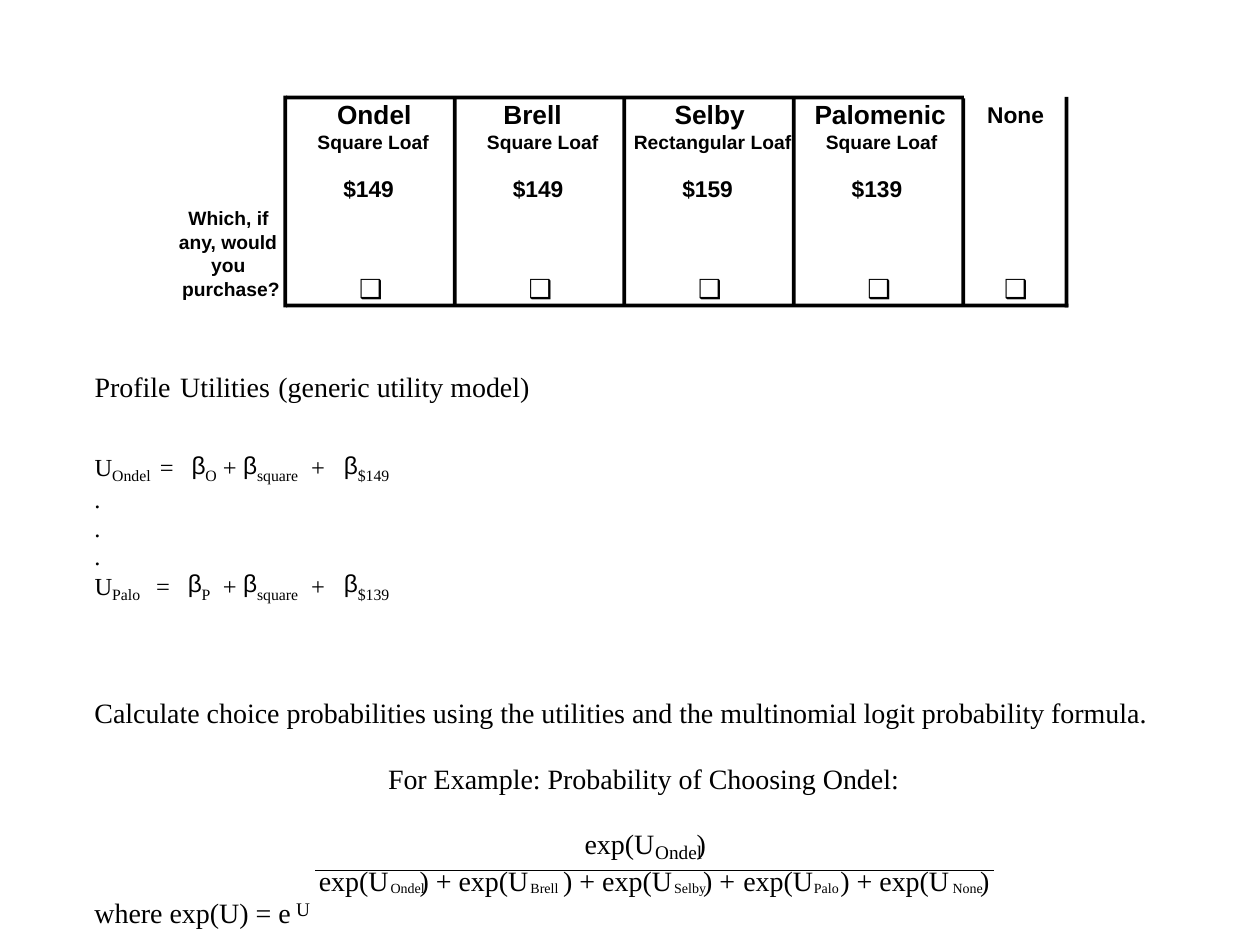
import pptx
import pptx.util
import pptx.dml.color
import pptx.enum.shapes
import pptx.enum.text
import lxml.etree

Inches = pptx.util.Inches
COLORS = {"ink": "000000", "page": "FFFFFF"}
SERIF, SANS = "Times New Roman", "Arial"
HEIGHTS = {8: 0.15, 9: 0.19, 11: 0.21, 13: 0.25, 14: 0.27, 15: 0.29, 16: 0.32}
LEFT, RIGHT = 2.25, 7.63
STEP = (RIGHT - LEFT) / 4


def tint(name):
    return pptx.dml.color.RGBColor.from_string(COLORS[name])


def write(shapes, text, x, y, width, size, face=SERIF, bold=False, height=None):
    box = shapes.add_textbox(Inches(x), Inches(y), Inches(width),
                             Inches(height or HEIGHTS[size]))
    frame = box.text_frame
    frame.margin_left = frame.margin_right = 0
    frame.margin_top = frame.margin_bottom = 0
    frame.word_wrap = False
    frame.auto_size = pptx.enum.text.MSO_AUTO_SIZE.SHAPE_TO_FIT_TEXT
    frame.text = text
    font = frame.paragraphs[0].runs[0].font
    font.name, font.size, font.bold = face, pptx.util.Pt(size), bold
    font.color.rgb = tint("ink")


def center(shapes, text, mid, y, width, size):
    write(shapes, text, mid - width / 2, y, width, size, SANS, True)


def bar(shapes, x, y, width, height):
    shape = shapes.add_shape(pptx.enum.shapes.MSO_SHAPE.RECTANGLE,
                             Inches(x), Inches(y), Inches(width), Inches(height))
    shape.shadow.inherit = False
    shape.fill.solid()
    shape.fill.fore_color.rgb = tint("ink")
    shape.line.fill.background()


def rule(shapes, start, end, y):
    line = shapes.add_connector(pptx.enum.shapes.MSO_CONNECTOR.STRAIGHT,
                                Inches(start), Inches(y), Inches(end), Inches(y))
    line.line.color.rgb = tint("ink")
    line.line.width = pptx.util.Pt(0.88)
    props = line._element.spPr
    lxml.etree.SubElement(props, pptx.oxml.ns.qn("a:effectLst"))


def utility(shapes, y, name, equals, beta, brand, price):
    write(shapes, "U", 0.75, y, 0.22, 14)
    write(shapes, "=", equals, y, 0.33, 14)
    for x in (1.77, 2.47):
        write(shapes, "+", x, y, 0.23, 14)
    for x in (beta, 1.93, 2.73):
        write(shapes, "β", x, y - 0.02, 0.22, 14, SANS, height=0.28)
    subs = ((name, 0.89, 0.35), (brand, beta + 0.11, 0.15),
            ("square", 2.04, 0.41), (price, 2.84, 0.33))
    for text, x, width in subs:
        write(shapes, text, x, y + 0.11, width, 9)


def formula(shapes):
    write(shapes, "exp(U", 4.64, 6.56, 0.68, 16)
    write(shapes, "Ondel", 5.2, 6.67, 0.39, 11)
    write(shapes, ")", 5.53, 6.56, 0.17, 16)
    terms = (("exp(U", 2.53, 0.68), (") + exp(U", 3.33, 1.01),
             (") + exp(U", 4.47, 1.01), (") +", 5.58, 0.42),
             ("exp(U", 5.9, 0.68), (") + exp(U", 6.67, 1.01), (")", 7.78, 0.17))
    for text, x, width in terms:
        write(shapes, text, x, 6.85, width, 16)
    subs = (("Ondel", 3.1, 0.28), ("Brell", 4.21, 0.31), ("Selby", 5.35, 0.28),
            ("Palo", 6.46, 0.26), ("None", 7.56, 0.28))
    for text, x, width in subs:
        write(shapes, text, x, 6.98, width, 8)
    rule(shapes, 2.5, 7.89, 6.91)


def choices(shapes):
    offers = (("Ondel", 0.65, "Square Loaf", 0.96, "$149"),
              ("Brell", 0.7, "Square Loaf", 0.96, "$149"),
              ("Selby", 0.67, "Rectangular Loaf", 1.32, "$159"),
              ("Palomenic", 1.14, "Square Loaf", 0.96, "$139"))
    for i, (name, wide, loaf, span, price) in enumerate(offers):
        mid = 3 + i * STEP
        center(shapes, name, mid, 0.78, wide, 15)
        center(shapes, loaf, mid, 1.03, span, 11)
        center(shapes, price, mid - 0.03, 1.39, 0.49, 13)
        write(shapes, "❑", mid - 0.15, 2.16, 0.37, 15, SANS, height=0.27)
    center(shapes, "None", 8.13, 0.8, 0.59, 13)
    write(shapes, "❑", 7.97, 2.16, 0.37, 15, SANS, height=0.27)

    lines = (("Which, if", 0.75), ("any, would", 0.9), ("you", 0.39), ("purchase?", 0.85))
    for i, (text, width) in enumerate(lines):
        center(shapes, text, 1.87, 1.64 + i * 0.56 / 3, width, 11)

    bar(shapes, LEFT, 0.76, 0.03, 1.68)
    for i in range(1, 5):
        bar(shapes, LEFT + i * STEP, 0.78, 0.03, 1.65)
    bar(shapes, 8.45, 0.77, 0.03, 1.67)
    bar(shapes, 2.27, 0.76, 5.38, 0.03)
    bar(shapes, 2.27, 2.41, 6.21, 0.03)


def main():
    deck = pptx.Presentation()
    deck.slide_width, deck.slide_height = Inches(10), Inches(7.5)
    slide = deck.slides.add_slide(deck.slide_layouts[6])
    slide.background.fill.solid()
    slide.background.fill.fore_color.rgb = tint("page")
    shapes = slide.shapes

    title = (("Profile", 0.75, 0.79), ("Utilities", 1.43, 0.91),
             ("(generic utility model)", 2.21, 2.21))
    for text, x, width in title:
        write(shapes, text, x, 2.93, width, 16)
    utility(shapes, 3.59, "Ondel", 1.27, 1.52, "O", "$149")
    for y in (3.84, 4.07, 4.29):
        write(shapes, ".", 0.75, y, 0.13, 14)
    utility(shapes, 4.53, "Palo", 1.24, 1.49, "P", "$139")

    write(shapes, "Calculate choice probabilities using the utilities and the "
          "multinomial logit probability formula.", 0.75, 5.52, 8.44, 16, height=0.27)
    write(shapes, "For Example: Probability of Choosing Ondel:", 3.08, 6.04, 4.34, 16)
    formula(shapes)
    write(shapes, "where exp(U) = e", 0.75, 7.11, 1.74, 16)
    write(shapes, "U", 2.35, 7.12, 0.17, 11)
    choices(shapes.add_group_shape().shapes)
    deck.save("out.pptx")


if __name__ == "__main__":
    main()
